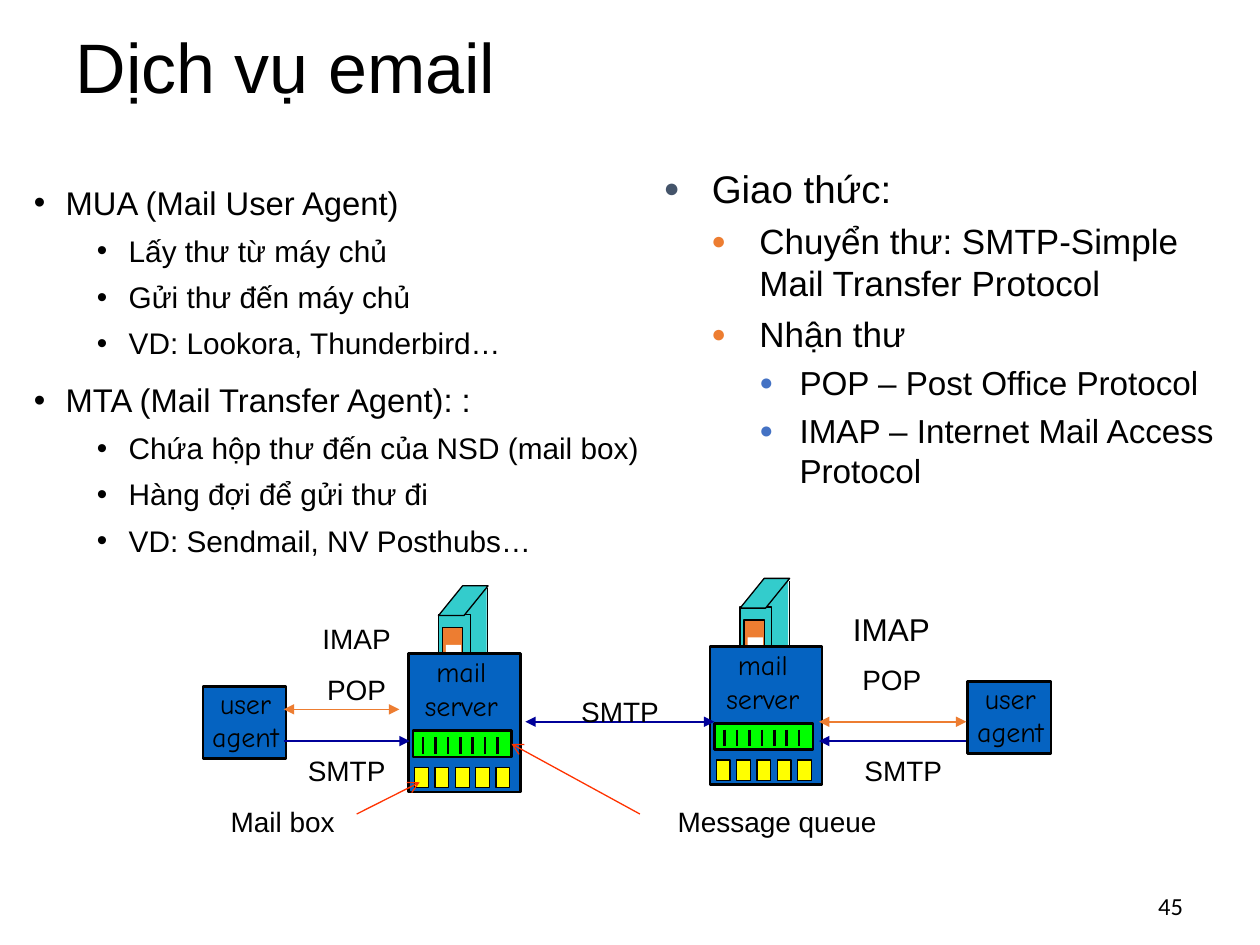
from lxml.etree import SubElement
from pptx import Presentation
from pptx.dml.color import RGBColor
from pptx.enum.shapes import MSO_CONNECTOR as Link, MSO_SHAPE as Preset
from pptx.enum.text import MSO_ANCHOR as Anchor, MSO_AUTO_SIZE as Fit, PP_ALIGN as Align
from pptx.oxml.ns import qn
from pptx.util import Cm, Pt

COLORS = {
    "text": "000000", "box": "0563C1", "tower": "33CCCC", "door": "ED7D31",
    "slot": "FFFFFF", "queue": "00FF00", "mailbox": "FFFF00", "send": "000099",
    "fetch": "ED7D31", "pointer": "FF3300", "slate": "44546A", "blue": "4472C4",
}


def rgb(name):
    return RGBColor.from_string(COLORS[name])


def apply(target, values):
    for name, value in values.items():
        setattr(target, name, value)


class EmailSlide:
    font, hand_font = "Arial", "Comic Neue"

    def __init__(self, deck):
        self.slide = deck.slides.add_slide(deck.slide_layouts[1])
        self.shapes = self.slide.shapes

    def start_group(self):
        self.shapes = self.slide.shapes.add_group_shape().shapes

    def end_group(self):
        self.shapes = self.slide.shapes

    def place(self, shape, left, top, width, height):
        apply(shape, {"left": Cm(left), "top": Cm(top),
                      "width": Cm(width), "height": Cm(height)})

    def styled_run(self, paragraph, text, size, font=None):
        run = paragraph.add_run()
        run.text = text
        apply(run.font, {"name": font or self.font, "size": Pt(size)})
        run.font.color.rgb = rgb("text")

    def title(self, text, *area):
        heading = self.shapes.title
        self.place(heading, *area)
        apply(heading.text_frame, {"vertical_anchor": Anchor.MIDDLE, "word_wrap": True})
        paragraph = heading.text_frame.paragraphs[0]
        apply(paragraph, {"alignment": Align.LEFT, "line_spacing": 0.9})
        self.styled_run(paragraph, text, 40)

    def bullets(self, frame, items, levels):
        """Each level holds: margin, hang, size, space before, bullet, bullet colour, percent."""
        apply(frame, {"word_wrap": True, "auto_size": Fit.NONE, "vertical_anchor": Anchor.TOP})
        for index, (level, text) in enumerate(items):
            margin, hang, size, before, char, color, percent = levels[level]
            paragraph = frame.add_paragraph() if index else frame.paragraphs[0]
            apply(paragraph, {"level": level, "alignment": Align.LEFT,
                              "space_before": Pt(before if index else 0)})
            props = paragraph._p.get_or_add_pPr()
            props.set("marL", str(Cm(margin)))
            props.set("indent", str(-Cm(hang)))
            SubElement(SubElement(props, qn("a:buClr")), qn("a:srgbClr"), val=COLORS[color])
            SubElement(props, qn("a:buSzPct"), val=str(percent * 1000))
            SubElement(props, qn("a:buFont"), typeface=self.font)
            SubElement(props, qn("a:buChar"), char=char)
            self.styled_run(paragraph, text, size)

    def text(self, lines, left, top, width, height=0.94, size=16, font=None,
             align=Align.CENTER, anchor=Anchor.TOP, wrap=True):
        box = self.shapes.add_textbox(Cm(left), Cm(top), Cm(width), Cm(height))
        frame = box.text_frame
        apply(frame, {"word_wrap": wrap, "vertical_anchor": anchor})
        for index, line in enumerate(lines):
            paragraph = frame.add_paragraph() if index else frame.paragraphs[0]
            paragraph.alignment = align
            self.styled_run(paragraph, line, size, font)

    def block(self, fill, left, top, width, height, line=None, preset=Preset.RECTANGLE):
        shape = self.shapes.add_shape(preset, Cm(left), Cm(top), Cm(width), Cm(height))
        shape.shadow.inherit = False
        shape.fill.solid()
        shape.fill.fore_color.rgb = rgb(fill)
        if line:
            shape.line.color.rgb = rgb("text")
            shape.line.width = Pt(line)
        else:
            shape.line.fill.background()
        return shape

    def line(self, x1, y1, x2, y2, color="text", width=1, head=None, tail=None):
        link = self.shapes.add_connector(Link.STRAIGHT, Cm(x1), Cm(y1), Cm(x2), Cm(y2))
        link.line.color.rgb = rgb(color)
        link.line.width = Pt(width)
        outline = link._element.spPr.find(qn("a:ln"))
        for tag, kind in (("a:headEnd", head), ("a:tailEnd", tail)):
            if kind:
                SubElement(outline, qn(tag), type=kind)
        SubElement(link._element.spPr, qn("a:effectLst"))
        return link

    def user_agent(self, x, y):
        self.start_group()
        self.block("box", x, y, 1.68, 1.45, line=1.5)
        self.text(["user", "agent"], x - 0.13, y - 0.13, 1.98, 1.63,
                  font=self.hand_font, wrap=False)
        self.end_group()

    def mail_server(self, x, y):
        self.start_group()
        # Tower behind the server box
        self.block("tower", x + 1.12, y - 1.35, 0.46, 1.98)
        self.block("tower", x + 0.61, y - 0.79, 0.64, 1.98, line=0.75)
        roof = self.block("tower", x + 0.61, y - 1.37, 1, 0.6, 0.75, Preset.PARALLELOGRAM)
        roof.adjustments[0] = 0.81
        self.line(x + 1.6, y - 1.32, x + 1.6, y + 0.64, width=0.75)
        self.block("door", x + 0.69, y - 0.53, 0.41, 1.14, line=0.75)
        self.block("slot", x + 0.76, y - 0.18, 0.31, 0.41)
        # Server box with message queue and mail boxes
        self.block("box", x, y, 2.26, 2.79, line=1.5)
        self.text(["mail", "server"], x - 0.05, y - 0.1, 2.24, 1.63,
                  font=self.hand_font, wrap=False)
        queue = self.block("queue", x + 0.1, y + 1.55, 1.98, 0.53, line=1.5)
        for message in range(7):
            tick = x + 0.3 + 0.25 * message
            self.line(tick, y + 1.68, tick, y + 2.01, width=1.5)
        for mailbox in range(5):
            self.block("mailbox", x + 0.13 + 0.41 * mailbox, y + 2.29, 0.28, 0.41, line=0.75)
        self.end_group()
        return queue


def main():
    deck = Presentation()
    apply(deck, {"slide_width": Cm(25.4), "slide_height": Cm(19.05)})
    page = EmailSlide(deck)
    page.title("Dịch vụ email", 1.27, 0.33, 20.95, 2.21)

    # Agents on the left
    agents = page.slide.placeholders[1]
    page.place(agents, 0.43, 3.56, 13.34, 7.7)
    page.bullets(agents.text_frame, [
        (0, "MUA (Mail User Agent)"),
        (1, "Lấy thư từ máy chủ"),
        (1, "Gửi thư đến máy chủ"),
        (1, "VD: Lookora, Thunderbird…"),
        (0, "MTA (Mail Transfer Agent): :"),
        (1, "Chứa hộp thư đến của NSD (mail box)"),
        (1, "Hàng đợi để gửi thư đi"),
        (1, "VD: Sendmail, NV Posthubs…"),
    ], [(0.64, 0.64, 18.7, 11, "•", "text", 100),
        (1.91, 0.64, 17, 6, "•", "text", 100)])

    # Mail hosts
    page.user_agent(4.09, 13.84)
    queue = page.mail_server(8.23, 13.18)
    page.mail_server(14.31, 13.03)
    page.user_agent(19.51, 13.74)

    # Traffic between the hosts
    both = {"head": "triangle", "tail": "triangle"}
    page.line(5.72, 14.3, 8.05, 14.3, "fetch", **both)
    page.line(10.59, 14.55, 14.4, 14.55, "send", **both)
    page.line(16.51, 14.55, 19.48, 14.55, "fetch", **both)
    page.line(5.72, 14.94, 8.26, 14.94, "send", tail="triangle")
    page.line(16.51, 14.94, 19.48, 14.94, "send", head="triangle")

    # Protocols on the right
    protocols = page.shapes.add_textbox(Cm(13.13), Cm(3.2), Cm(11.63), Cm(7.92))
    page.bullets(protocols.text_frame, [
        (0, "Giao thức:"),
        (1, "Chuyển thư: SMTP-Simple Mail Transfer Protocol"),
        (1, "Nhận thư"),
        (2, "POP – Post Office Protocol"),
        (2, "IMAP – Internet Mail Access Protocol"),
    ], [(0.97, 0.97, 22, 5, "●", "slate", 70),
        (1.93, 0.97, 20, 5, "●", "door", 70),
        (2.74, 0.81, 19, 4.5, "●", "blue", 70)])

    # Labels in the diagram
    for label, left, top, width, size in [
        ("SMTP", 11.23, 13.87, 2.54, 16),
        ("POP", 5.92, 13.44, 2.54, 16),
        ("IMAP", 5.92, 12.4, 2.54, 16),
        ("Mail box", 4.01, 16.1, 3.38, 16),
        ("Message queue", 13.34, 16.1, 4.65, 16),
        ("IMAP", 16.94, 12.17, 2.06, 18),
        ("POP", 16.71, 13.23, 2.54, 16),
        ("SMTP", 16.94, 15.06, 2.54, 16),
        ("SMTP", 5.72, 15.06, 2.54, 16),
    ]:
        page.text([label], left, top, width, size=size)

    # Pointers to the mail box and the message queue
    page.line(7.19, 16.41, 8.46, 15.77, "pointer", 0.75, tail="arrow")
    queue_pointer = page.line(12.9, 16.41, 10.36, 14.94, "pointer", 0.75, tail="arrow")
    queue_pointer.end_connect(queue, 3)

    # Page number
    page.text(["45"], 22.5, 17.75, 1.6, 1.02, size=14, font="Calibri",
              align=Align.RIGHT, anchor=Anchor.MIDDLE)
    deck.save("out.pptx")


if __name__ == "__main__":
    main()
